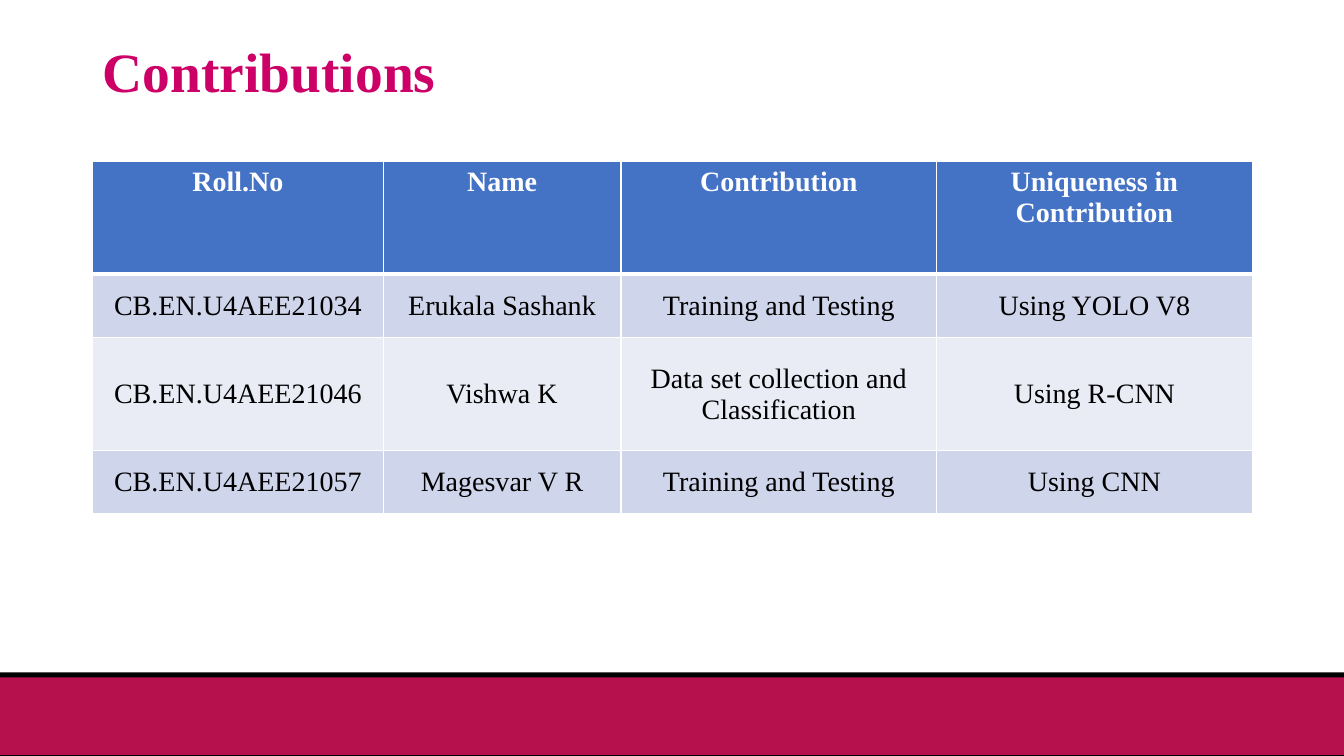
from lxml.etree import SubElement
from pptx import Presentation
from pptx.dml.color import RGBColor
from pptx.enum.shapes import MSO_SHAPE
from pptx.enum.text import MSO_ANCHOR, PP_ALIGN
from pptx.oxml.ns import qn
from pptx.util import Inches, Pt

HEADERS = ["Roll.No", "Name", "Contribution", "Uniqueness in Contribution"]
MEMBERS = [
    ["CB.EN.U4AEE21034", "Erukala Sashank", "Training and Testing", "Using YOLO V8"],
    ["CB.EN.U4AEE21046", "Vishwa K", "Data set collection and Classification", "Using R-CNN"],
    ["CB.EN.U4AEE21057", "Magesvar V R", "Training and Testing", "Using CNN"],
]
COLUMN_WIDTHS = [2.88, 2.36, 3.13, 3.13]
ROW_HEIGHTS = [1.12, 0.63, 1.12, 0.63]


def color(value):
    return RGBColor.from_string(value)


class SlideBuilder:
    font_name = "Times New Roman"
    title_color = "CC0066"
    header_fill = "4472C4"
    band_fills = ["CFD5EA", "E9EBF5"]
    border_color = "FFFFFF"

    def __init__(self, presentation):
        self.slide = presentation.slides.add_slide(presentation.slide_layouts[5])

    def bar(self, top, height, fill):
        shape = self.slide.shapes.add_shape(
            MSO_SHAPE.RECTANGLE, 0, Inches(top), Inches(13.33), Inches(height))
        shape.shadow.inherit = False
        shape.fill.solid()
        shape.fill.fore_color.rgb = color(fill)
        shape.line.fill.background()

    def format_text(self, paragraph, size, text_color, bold, alignment):
        paragraph.alignment = alignment
        for run in paragraph.runs:
            run.font.name = self.font_name
            run.font.size = Pt(size)
            run.font.bold = bold
            run.font.color.rgb = color(text_color)

    def title(self, text, left, top, width, height):
        title = self.slide.shapes.title
        title.left, title.top = Inches(left), Inches(top)
        title.width, title.height = Inches(width), Inches(height)
        title.text_frame.text = text
        title.text_frame.vertical_anchor = MSO_ANCHOR.MIDDLE
        paragraph = title.text_frame.paragraphs[0]
        paragraph.line_spacing = 0.9
        self.format_text(paragraph, 39.6, self.title_color, True, PP_ALIGN.LEFT)

    def borders(self, cell, widths):
        properties = cell._tc.get_or_add_tcPr()
        for side, width in widths.items():
            line = SubElement(properties, qn(f"a:ln{side}"), w=str(Pt(width)))
            fill = SubElement(line, qn("a:solidFill"))
            SubElement(fill, qn("a:srgbClr"), val=self.border_color)

    def table(self, rows, left, top, column_widths, row_heights):
        table = self.slide.shapes.add_table(
            len(rows), len(column_widths), Inches(left), Inches(top),
            Inches(sum(column_widths)), Inches(sum(row_heights))).table
        for column, width in zip(table.columns, column_widths):
            column.width = Inches(width)
        for row_index, texts in enumerate(rows):
            table.rows[row_index].height = Inches(row_heights[row_index])
            for column_index, text in enumerate(texts):
                self.cell(table.cell(row_index, column_index), text, row_index)

    def cell(self, cell, text, row_index):
        header = row_index == 0
        self.borders(cell, {"L": 1, "R": 1, "T": 3 if row_index == 1 else 1,
                            "B": 3 if header else 1})
        cell.fill.solid()
        cell.fill.fore_color.rgb = color(
            self.header_fill if header else self.band_fills[(row_index - 1) % 2])
        cell.vertical_anchor = MSO_ANCHOR.TOP if header else MSO_ANCHOR.MIDDLE
        cell.text_frame.text = text
        self.format_text(cell.text_frame.paragraphs[0], 20,
                         "FFFFFF" if header else "000000", header, PP_ALIGN.CENTER)


def main():
    presentation = Presentation()
    presentation.slide_width = Inches(13.33)
    presentation.slide_height = Inches(7.5)
    builder = SlideBuilder(presentation)
    builder.bar(6.67, 0.83, "000000")
    builder.bar(6.72, 0.77, "B6114D")
    builder.title("Contributions", 0.92, 0.4, 11.5, 0.68)
    builder.table([HEADERS] + MEMBERS, 0.92, 1.6, COLUMN_WIDTHS, ROW_HEIGHTS)
    presentation.save("out.pptx")


if __name__ == "__main__":
    main()
